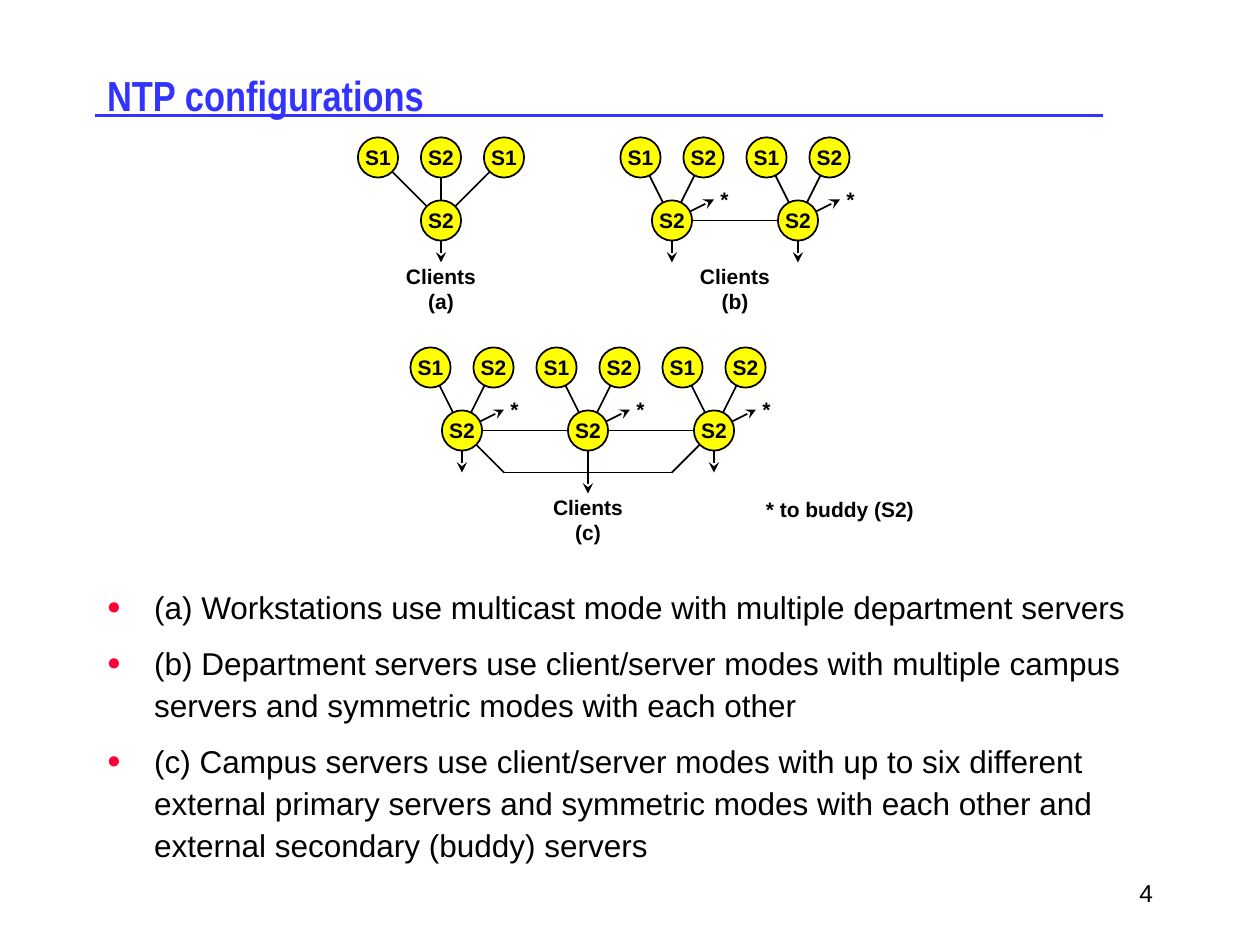
"""Build the NTP configurations slide with its three server diagrams."""
from dataclasses import dataclass

from lxml import etree
from pptx import Presentation
from pptx.dml.color import RGBColor
from pptx.enum import shapes, text
from pptx.oxml import parse_xml
from pptx.oxml.ns import nsdecls, qn
from pptx.util import Pt

COLORS = {"blue": "3333FF", "red": "FF0033", "yellow": "FFFF00", "black": "000000", "white": "FFFFFF"}
LABEL = {"name": "Arial", "size": Pt(12), "bold": True}
TITLE = {"name": "Arial Narrow", "size": Pt(24), "bold": True}
BODY = {"name": "Arial", "size": Pt(18)}
NUMBER = {"name": "Arial", "size": Pt(14)}
LABEL_FRAME = {"word_wrap": False, "vertical_anchor": text.MSO_ANCHOR.MIDDLE}
TEXT_FRAME = {"word_wrap": True, "auto_size": text.MSO_AUTO_SIZE.NONE}
DIAMETER, LEVEL_GAP = 23, 36
BULLETS = (
    "(a) Workstations use multicast mode with multiple department servers",
    "(b) Department servers use client/server modes with multiple campus servers "
    "and symmetric modes with each other",
    "(c) Campus servers use client/server modes with up to six different external primary "
    "servers and symmetric modes with each other and external secondary (buddy) servers",
)


@dataclass(frozen=True)
class Server:
    x: float
    parents: tuple
    arrow: float = 24
    buddy: bool = True


@dataclass(frozen=True)
class Configuration:
    name: str
    top: float
    label_x: float
    label_top: float
    servers: tuple
    bypass: tuple = ()


PAIR = (("S1", -18), ("S2", 18))
TRIO = (("S1", -36), ("S2", 0), ("S1", 36))
CONFIGURATIONS = (
    Configuration("(a)", 90, 252, 150, (Server(252, TRIO, buddy=False),)),
    Configuration("(b)", 90, 420, 150, (Server(384, PAIR), Server(456, PAIR))),
    Configuration("(c)", 210, 336, 282,
                  (Server(264, PAIR), Server(336, PAIR, arrow=36), Server(408, PAIR)),
                  ((264, 246), (288, 270), (384, 270), (408, 246))),
)


def rgb(name: str) -> RGBColor:
    return RGBColor.from_string(COLORS[name])


def apply(target, values: dict) -> None:
    for name, value in values.items():
        setattr(target, name, value)


def format_paragraph(paragraph, font: dict, color: str, alignment) -> None:
    paragraph.alignment = alignment
    apply(paragraph.font, font)
    paragraph.font.color.rgb = rgb(color)


def add_line(slide, start: tuple, end: tuple, color="black", width=1, arrow=False) -> None:
    line = slide.shapes.add_connector(shapes.MSO_CONNECTOR.STRAIGHT, *map(Pt, (*start, *end)))
    line.line.color.rgb = rgb(color)
    line.line.width = Pt(width)
    if arrow:
        etree.SubElement(line.line._get_or_add_ln(), qn("a:tailEnd"), type="stealth")
    etree.SubElement(line._element.spPr, qn("a:effectLst"))


def add_label(slide, kind, center: tuple, size: tuple, lines: tuple, fill="white", outline=None) -> None:
    (x, y), (width, height) = center, size
    shape = slide.shapes.add_shape(kind, *map(Pt, (x - width / 2, y - height / 2, width, height)))
    shape.shadow.inherit = False
    shape.fill.solid()
    shape.fill.fore_color.rgb = rgb(fill)
    if outline:
        shape.line.color.rgb = rgb(outline)
        shape.line.width = Pt(1)
    else:
        shape.line.fill.background()
    apply(shape.text_frame, LABEL_FRAME)
    shape.text_frame.text = "\n".join(lines)
    for paragraph in shape.text_frame.paragraphs:
        format_paragraph(paragraph, LABEL, "black", text.PP_ALIGN.CENTER)


def add_node(slide, name: str, x: float, y: float) -> None:
    add_label(slide, shapes.MSO_SHAPE.OVAL, (x, y), (DIAMETER, DIAMETER), (name,), "yellow", "black")


def add_configuration(slide, configuration: Configuration) -> None:
    rectangle = shapes.MSO_SHAPE.RECTANGLE
    top, servers = configuration.top, configuration.servers
    y = top + LEVEL_GAP
    for start, end in zip(configuration.bypass, configuration.bypass[1:]):
        add_line(slide, start, end)
    for left, right in zip(servers, servers[1:]):
        add_line(slide, (left.x, y), (right.x, y))
    for server in servers:
        for _, offset in server.parents:
            add_line(slide, (server.x + offset, top), (server.x, y))
        add_line(slide, (server.x, y), (server.x, y + server.arrow), arrow=True)
        if server.buddy:
            add_line(slide, (server.x, y), (server.x + 24, y - 12), arrow=True)
            add_label(slide, rectangle, (server.x + 30, y - 12), (11, 11), ("*",), outline="white")
        for name, offset in server.parents:
            add_node(slide, name, server.x + offset, top)
        add_node(slide, "S2", server.x, y)
    add_label(slide, rectangle, (configuration.label_x, configuration.label_top + 15), (48, 30),
              ("Clients", configuration.name))


def add_title(slide) -> None:
    title = slide.shapes.title
    apply(title, {"left": Pt(54), "top": Pt(30), "width": Pt(612), "height": Pt(48)})
    title.text_frame.text = "NTP configurations"
    apply(title.text_frame, {**TEXT_FRAME, "vertical_anchor": text.MSO_ANCHOR.MIDDLE})
    format_paragraph(title.text_frame.paragraphs[0], TITLE, "blue", text.PP_ALIGN.LEFT)
    add_line(slide, (54, 66), (630, 66), "blue", 2)


def add_bullets(slide) -> None:
    frame = slide.shapes.add_textbox(Pt(54), Pt(330), Pt(612), Pt(162)).text_frame
    apply(frame, TEXT_FRAME)
    frame.text = "\n".join(BULLETS)
    for index, paragraph in enumerate(frame.paragraphs):
        properties = paragraph._p.get_or_add_pPr()
        apply(properties, {})
        properties.set("marL", str(Pt(27)))
        properties.set("indent", str(-Pt(27)))
        for element in (f'<a:buClr {nsdecls("a")}><a:srgbClr val="{COLORS["red"]}"/></a:buClr>',
                        f'<a:buSzPct {nsdecls("a")} val="75000"/>',
                        f'<a:buFont {nsdecls("a")} typeface="Arial"/>',
                        f'<a:buChar {nsdecls("a")} char="●"/>'):
            properties.append(parse_xml(element))
        apply(paragraph, {"line_spacing": Pt(24), "space_before": Pt(8 if index else 0)})
        format_paragraph(paragraph, BODY, "black", text.PP_ALIGN.LEFT)


def add_page_number(slide) -> None:
    frame = slide.shapes.add_textbox(Pt(516), Pt(492), Pt(150), Pt(36)).text_frame
    apply(frame, {**TEXT_FRAME, "vertical_anchor": text.MSO_ANCHOR.MIDDLE})
    frame.text = "4"
    format_paragraph(frame.paragraphs[0], NUMBER, "black", text.PP_ALIGN.RIGHT)


def main() -> None:
    presentation = Presentation()
    apply(presentation, {"slide_width": Pt(720), "slide_height": Pt(540)})
    slide = presentation.slides.add_slide(presentation.slide_layouts[5])
    add_title(slide)
    add_bullets(slide)
    for configuration in CONFIGURATIONS:
        add_configuration(slide, configuration)
    add_label(slide, shapes.MSO_SHAPE.RECTANGLE, (480, 291), (108, 18), ("* to buddy (S2)",))
    add_page_number(slide)
    presentation.save("out.pptx")


if __name__ == "__main__":
    main()
